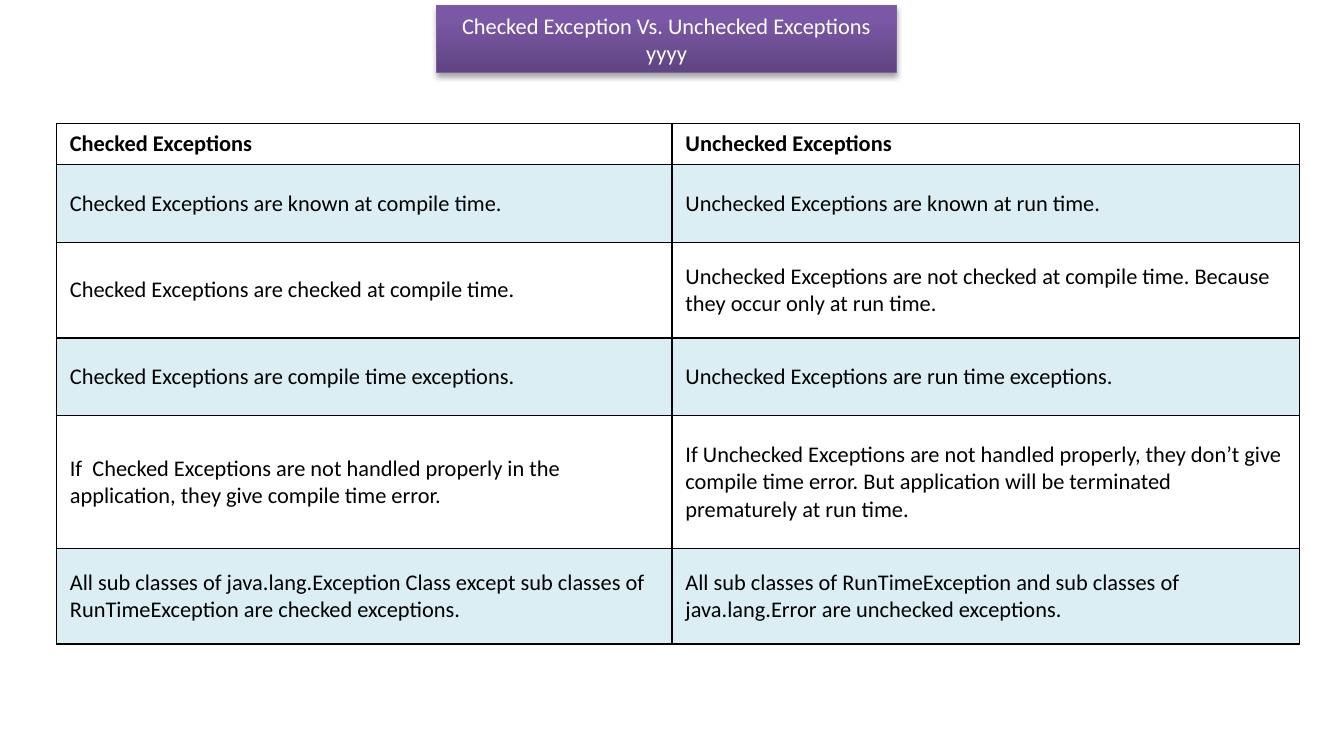
import copy
from dataclasses import dataclass

import lxml.etree
import pptx
import pptx.dml.color
import pptx.enum.text
import pptx.oxml
import pptx.oxml.ns
import pptx.util
from pptx.util import Inches


@dataclass(frozen=True)
class Theme:
    font: str = "Calibri"
    size: int = 12
    text: str = "000000"
    title_text: str = "FFFFFF"
    title_line: str = "7D60A0"
    gradient: tuple = ((0, "5F4480"), (0.8, "7B58A6"), (1, "7C57A8"))
    band: str = "4BACC6"
    band_alpha: int = 20
    border: str = "000000"
    border_width: int = 1


THEME = Theme()
TITLE = "Checked Exception Vs. Unchecked Exceptions yyyy"
COLUMN_WIDTHS = (4.58, 4.67)
ROW_HEIGHTS = (0.3, 0.58, 0.71, 0.58, 0.99, 0.71)
COMPARISON = (
    ("Checked Exceptions", "Unchecked Exceptions"),
    ("Checked Exceptions are known at compile time.",
     "Unchecked Exceptions are known at run time."),
    ("Checked Exceptions are checked at compile time.",
     "Unchecked Exceptions are not checked at compile time. "
     "Because they occur only at run time."),
    ("Checked Exceptions are compile time exceptions.",
     "Unchecked Exceptions are run time exceptions."),
    ("If  Checked Exceptions are not handled properly in the application, "
     "they give compile time error.",
     "If Unchecked Exceptions are not handled properly, they don’t give "
     "compile time error. But application will be terminated prematurely at run time."),
    ("All sub classes of java.lang.Exception Class except sub classes of "
     "RunTimeException are checked exceptions.",
     "All sub classes of RunTimeException and sub classes of "
     "java.lang.Error are unchecked exceptions."),
)


def rgb(value):
    return pptx.dml.color.RGBColor.from_string(value)


def qn(tag):
    return pptx.oxml.ns.qn(tag)


def parse_xml(xml):
    return pptx.oxml.parse_xml(xml.replace(">", f" {pptx.oxml.ns.nsdecls('a')}>", 1))


def style_text(tf, color, bold=False):
    for p in tf.paragraphs:
        for r in p.runs:
            r.font.name = THEME.font
            r.font.size = pptx.util.Pt(THEME.size)
            r.font.bold = bold
            r.font.color.rgb = rgb(color)


def fill_gradient(shape):
    shape.fill.gradient()
    shape.fill.gradient_angle = 90
    stops = shape.element.spPr.find(".//" + qn("a:gsLst"))
    stops.insert(1, copy.deepcopy(stops[0]))
    for stop, (position, color) in zip(shape.fill.gradient_stops, THEME.gradient):
        stop.position = position
        stop.color.rgb = rgb(color)


def add_shadow(shape):
    shape.shadow.inherit = False
    effects = shape.element.spPr.find(qn("a:effectLst"))
    effects.append(parse_xml(
        '<a:outerShdw blurRad="39370" dist="22860" dir="5400000" rotWithShape="0">'
        '<a:srgbClr val="000000"><a:alpha val="35000"/></a:srgbClr></a:outerShdw>'))


def add_title(s):
    sp = s.shapes.add_shape(pptx.enum.shapes.MSO_SHAPE.RECTANGLE,
                            Inches(3.25), Inches(0.04), Inches(3.42), Inches(0.5))
    fill_gradient(sp)
    sp.line.color.rgb = rgb(THEME.title_line)
    sp.line.width = pptx.util.Pt(0.75)
    add_shadow(sp)
    tf = sp.text_frame
    tf.word_wrap = True
    tf.text = TITLE
    tf.paragraphs[0].alignment = pptx.enum.text.PP_ALIGN.CENTER
    style_text(tf, THEME.title_text)


def add_borders(cell):
    tcPr = cell._tc.get_or_add_tcPr()
    width = pptx.util.Pt(THEME.border_width)
    for side in ("lnL", "lnR", "lnT", "lnB"):
        tcPr.append(parse_xml(
            f'<a:{side} w="{width}"><a:solidFill><a:srgbClr val="{THEME.border}"/>'
            f'</a:solidFill></a:{side}>'))


def fill_band(cell):
    cell.fill.solid()
    cell.fill.fore_color.rgb = rgb(THEME.band)
    color = cell._tc.tcPr.find(qn("a:solidFill") + "/" + qn("a:srgbClr"))
    alpha = lxml.etree.SubElement(color, qn("a:alpha"))
    alpha.set("val", str(THEME.band_alpha * 1000))


def fill_cell(cell, text, row):
    add_borders(cell)
    if row % 2:
        fill_band(cell)
    else:
        cell.fill.background()
    if row:
        cell.vertical_anchor = pptx.enum.text.MSO_ANCHOR.MIDDLE
    cell.text_frame.text = text
    style_text(cell.text_frame, THEME.text, bold=row == 0)


def add_comparison(s):
    table = s.shapes.add_table(
        len(ROW_HEIGHTS), len(COLUMN_WIDTHS), Inches(0.42), Inches(0.92),
        Inches(sum(COLUMN_WIDTHS)), Inches(sum(ROW_HEIGHTS))).table
    table.first_row = False
    table.horz_banding = False
    for column, width in zip(table.columns, COLUMN_WIDTHS):
        column.width = Inches(width)
    for i, (height, texts) in enumerate(zip(ROW_HEIGHTS, COMPARISON)):
        table.rows[i].height = Inches(height)
        for j, text in enumerate(texts):
            fill_cell(table.cell(i, j), text, i)


def main():
    prs = pptx.Presentation()
    prs.slide_width = Inches(10)
    prs.slide_height = Inches(5.5)
    s = prs.slides.add_slide(prs.slide_layouts[6])
    add_title(s)
    add_comparison(s)
    prs.save("out.pptx")


if __name__ == "__main__":
    import pptx.enum.shapes
    main()
